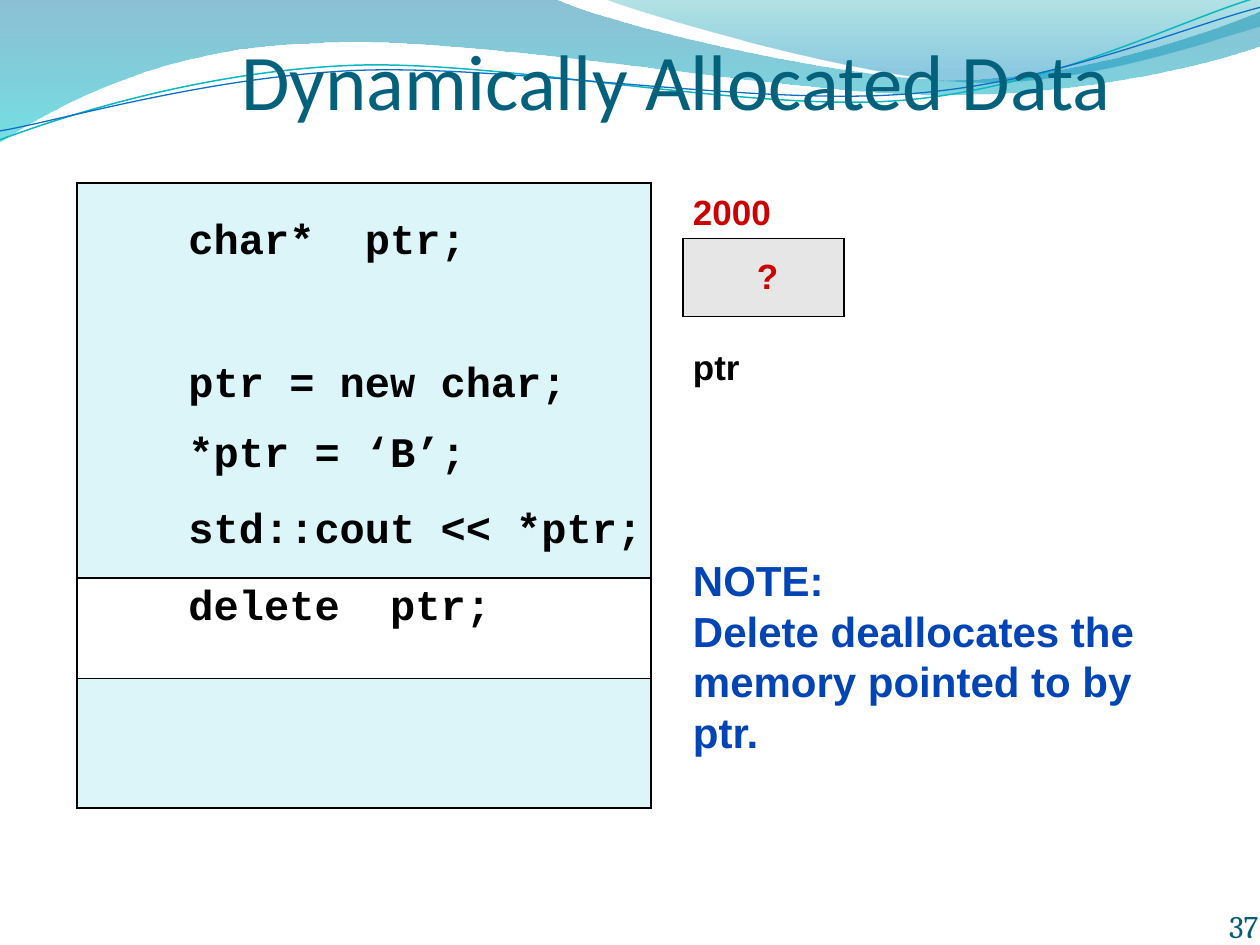
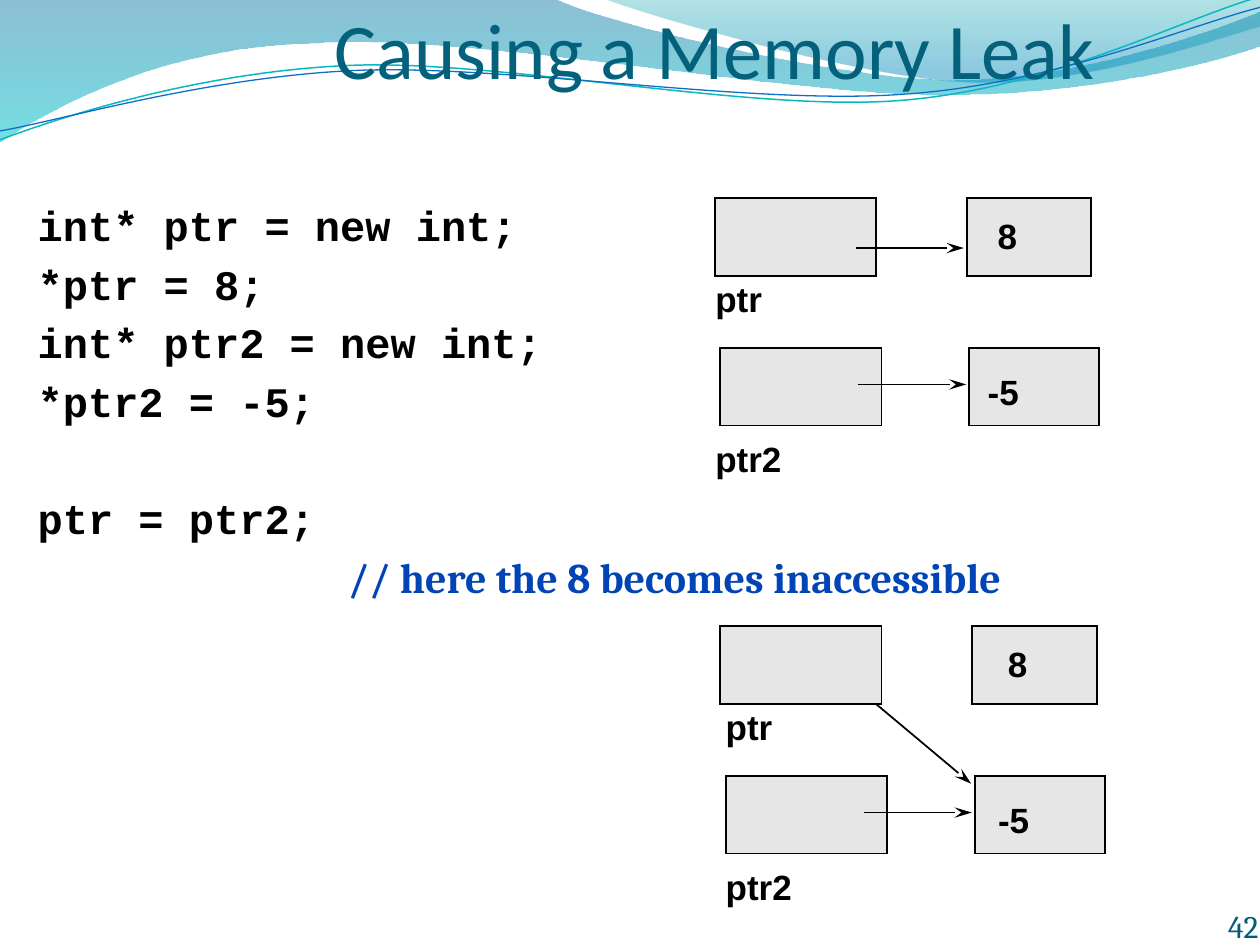
from dataclasses import dataclass
from typing import Any

from lxml import etree
from pptx import Presentation
from pptx.dml.color import RGBColor
from pptx.enum.shapes import MSO_CONNECTOR, MSO_SHAPE
from pptx.enum.text import MSO_ANCHOR, PP_ALIGN
from pptx.oxml.ns import qn
from pptx.util import Cm, Pt

RECT = MSO_SHAPE.RECTANGLE
STRAIGHT = MSO_CONNECTOR.STRAIGHT
TOP, BOTTOM = MSO_ANCHOR.TOP, MSO_ANCHOR.BOTTOM
LEFT, RIGHT = PP_ALIGN.LEFT, PP_ALIGN.RIGHT

BLACK, WHITE, GREY = "000000", "FFFFFF", "E6E6E6"
RED, BLUE, PALE = "CC0000", "0044B5", "DBF5F9"
TITLE_COLOR, NUMBER_COLOR = "04617B", "045D75"

TITLE = {"name": "Calibri", "size": Pt(45), "bold": False}
NUMBER = {"name": "Cambria", "size": Pt(18), "bold": False}
CODE = {"name": "Courier New", "size": Pt(24), "bold": True}
REMARK = {**CODE, "name": "Cambria"}
LABEL = {"name": "Arial", "size": Pt(20), "bold": True}
NOTE = {**LABEL, "size": Pt(24)}

CELL_HEIGHT = 1.57
POINTER_WIDTH = 3.25

Point = tuple[float, float]


@dataclass(frozen=True)
class Wave:
    start: Point
    segments: tuple[tuple[Point, ...], ...]
    stops: tuple[tuple[float, str, int], ...] = ()
    line: str = ""
    weight: float = 0


@dataclass(frozen=True)
class Box:
    left: float
    top: float
    width: float
    height: float
    fill: str = GREY


@dataclass(frozen=True)
class Arrow:
    x1: float
    y1: float
    x2: float
    y2: float


@dataclass(frozen=True)
class Line:
    text: str
    fmt: dict[str, Any]
    color: str = BLACK
    before: float = 0
    indent: float = 0


WAVES = (
    Wave((0, 0), (
        ((11.18, -0.03),),
        ((12.09, 0.43), (16.87, 1.6), (19.25, 1.6)),
        ((21.67, 1.6), (24.33, 0.66), (25.4, 0.23)),
        ((25.43, 0.91),),
        ((24.97, 1.12), (22.1, 1.93), (18.95, 1.91)),
        ((15.8, 1.91), (9.7, 0.71), (6.53, 0.86)),
        ((3.28, 0.91), (1.17, 2.11), (-0.03, 2.87)),
    ), stops=((0, "0074A1", 45), (1, "00C6CF", 55))),
    Wave((12.17, -0.03), (
        ((12.93, 0.28), (17.32, 1.57), (19.53, 1.65)),
        ((21.74, 1.75), (24.41, 0.81), (25.4, 0.53)),
        ((25.4, 0),),
    ), stops=((0, "00A1A9", 30), (0.8, "008BBF", 45))),
    Wave((0, 2.82), (
        ((1.22, 2.36), (4.01, 1.45), (7.04, 1.32)),
        ((10.03, 1.19), (15.06, 2.26), (18.11, 2.03)),
        ((21.16, 1.8), (23.83, 0.38), (25.35, -0.05)),
    ), line="0AB8BF", weight=0.85),
    Wave((0, 2.64), (
        ((1.19, 2.44), (4.17, 1.55), (7.19, 1.42)),
        ((10.24, 1.3), (15.16, 2.13), (18.21, 1.9)),
        ((21.23, 1.7), (23.9, 0.53), (25.4, 0.15)),
    ), line="0F6FC6", weight=0.75),
)

MEMORY_CELLS = (
    Box(14.41, 3.99, POINTER_WIDTH, CELL_HEIGHT),
    Box(14.52, 7.01, POINTER_WIDTH, CELL_HEIGHT),
    Box(19.49, 3.99, 2.51, CELL_HEIGHT),
    Box(19.54, 7.01, 2.62, CELL_HEIGHT),
)
MEMORY_LABELS = (
    Line("8", LABEL, indent=5.69),
    Line("ptr", LABEL, before=12),
    Line("-5", LABEL, before=28.8, indent=5.49),
    Line("ptr2", LABEL, before=14.4),
)
PTR_ARROW = Arrow(17.25, 5, 19.43, 5)
PTR2_ARROW = Arrow(17.3, 7.75, 19.48, 7.75)
LEAK_ARROW = Arrow(17.3, 13.89, 19.58, 15.8)
LEAK_DX, LEAK_LABEL_DX, LEAK_DY = 0.11, 0.21, 8.63


def rgb(color: str) -> RGBColor:
    return RGBColor.from_string(color)


def bend(sp: Any, wave: Wave) -> None:
    steps = iter(list(sp._element.iter(qn("a:lnTo"))))
    for segment in wave.segments:
        group = [next(steps) for _ in segment]
        if len(group) == 3:
            cubic = etree.Element(qn("a:cubicBezTo"))
            group[0].addprevious(cubic)
            for step in group:
                cubic.append(step[0])
                step.getparent().remove(step)


def add_wave(s: Any, wave: Wave) -> Any:
    points = [wave.start, *(point for segment in wave.segments for point in segment)]
    emu = [(Cm(x), Cm(y)) for x, y in points]
    builder = s.shapes.build_freeform(*emu[0])
    builder.add_line_segments(emu[1:], close=bool(wave.stops))
    sp = builder.convert_to_shape()
    bend(sp, wave)
    sp.shadow.inherit = False
    if not wave.stops:
        sp.fill.background()
        sp.line.color.rgb = rgb(wave.line)
        sp.line.width = Pt(wave.weight)
        return sp
    sp.line.fill.background()
    sp.fill.gradient()
    sp.fill.gradient_angle = 270
    for stop, (position, color, _) in zip(sp.fill.gradient_stops, wave.stops):
        stop.position = position
        stop.color.rgb = rgb(color)
    for clr, (_, _, opacity) in zip(sp._element.spPr.iter(qn("a:srgbClr")), wave.stops):
        etree.SubElement(clr, qn("a:alpha"), val=str(opacity * 1000))
    return sp


def add_box(s: Any, box: Box, dx: float = 0, dy: float = 0) -> None:
    sp = s.shapes.add_shape(RECT, Cm(box.left + dx), Cm(box.top + dy), Cm(box.width), Cm(box.height))
    sp.shadow.inherit = False
    sp.fill.solid()
    sp.fill.fore_color.rgb = rgb(box.fill)
    sp.line.color.rgb = rgb(BLACK)
    sp.line.width = Pt(1)
    etree.SubElement(sp.line._get_or_add_ln(), qn("a:miter"), lim="800000")


def add_arrow(s: Any, arrow: Arrow, dx: float = 0, dy: float = 0) -> None:
    sp = s.shapes.add_connector(STRAIGHT, Cm(arrow.x1 + dx), Cm(arrow.y1 + dy),
                                Cm(arrow.x2 + dx), Cm(arrow.y2 + dy))
    sp.line.color.rgb = rgb(BLACK)
    sp.line.width = Pt(1)
    etree.SubElement(sp.line._get_or_add_ln(), qn("a:tailEnd"), type="stealth", w="med", len="lg")
    etree.SubElement(sp._element.spPr, qn("a:effectLst"))


def add_text(s: Any, left: float, top: float, width: float, height: float, *lines: Line,
             inset: Point = (0, 0), align: Any = LEFT, anchor: Any = TOP) -> None:
    tf = s.shapes.add_textbox(Cm(left), Cm(top), Cm(width), Cm(height)).text_frame
    frame = {"word_wrap": True, "vertical_anchor": anchor, "margin_left": Cm(inset[0]),
             "margin_top": Cm(inset[1]), "margin_right": 0, "margin_bottom": 0}
    for name, value in frame.items():
        setattr(tf, name, value)
    for i, line in enumerate(lines):
        p = tf.add_paragraph() if i else tf.paragraphs[0]
        p.alignment = align
        p.space_before = Pt(line.before)
        if line.indent:
            p._p.get_or_add_pPr().set("marL", str(Cm(line.indent)))
        r = p.add_run()
        r.text = line.text
        for name, value in line.fmt.items():
            setattr(r.font, name, value)
        r.font.color.rgb = rgb(line.color)


def add_waves(s: Any) -> None:
    tree = s.slide_layout.shapes._spTree
    for wave in WAVES:
        tree.append(add_wave(s, wave)._element)


def add_heading(s: Any, title: str, left: float, top: float, height: float, number: int) -> None:
    add_text(s, 20.09, 17.78, 5.28, 1.27, Line(str(number), NUMBER, NUMBER_COLOR),
             align=RIGHT, anchor=BOTTOM)
    add_text(s, left, top, 25.4 - left, height, Line(title, TITLE, TITLE_COLOR),
             inset=(0, 0.13), anchor=BOTTOM)


def add_memory(s: Any, dx: float = 0, label_dx: float = 0, dy: float = 0) -> None:
    for cell in MEMORY_CELLS:
        add_box(s, cell, dx, dy)
    add_arrow(s, PTR2_ARROW, dx, dy)
    add_text(s, 13.97 + label_dx, 2.74 + dy, 9.53, 7.87, *MEMORY_LABELS, inset=(0.45, 1.59))


def build_allocation(s: Any) -> None:
    add_box(s, Box(1.55, 3.69, 11.58, 12.6, PALE))
    add_box(s, Box(1.55, 11.65, 11.58, 2.03, WHITE))
    add_heading(s, "Dynamically Allocated Data", 4.87, 0.43, 2.11, 37)
    add_text(s, 3.55, 3.51, 21.84, 11.81,
             Line("char*  ptr;", CODE),
             Line("ptr = new char;", CODE, before=53),
             Line("*ptr = ‘B’;", CODE, before=11),
             Line("std::cout << *ptr;", CODE, before=15),
             Line("delete  ptr;", CODE, before=15),
             inset=(0.25, 0.77))
    add_box(s, Box(13.77, 4.81, POINTER_WIDTH, CELL_HEIGHT))
    add_text(s, 13.72, 3.71, 9.53, 13.51,
             Line("2000", LABEL, RED),
             Line("ptr", LABEL, before=64.7),
             Line("NOTE:", NOTE, BLUE, before=95.5),
             Line("Delete deallocates the memory pointed to by ptr.", NOTE, BLUE),
             inset=(0.25, 0.13))
    add_text(s, 14.63, 5, 1.35, 1.09, Line("?", LABEL, RED), inset=(0.63, 0.13))


def build_leak(s: Any) -> None:
    add_heading(s, "Causing a Memory Leak", 6.75, 0.63, 1.3, 42)
    add_text(s, 0, 3.89, 21.84, 10.85,
             Line("int* ptr = new int;", CODE),
             Line("*ptr = 8;", CODE, before=4.8),
             Line("int* ptr2 = new int;", CODE, before=4.8),
             Line("*ptr2 = -5;", CODE, before=4.8),
             Line("ptr = ptr2;", CODE, before=38),
             Line("// here the 8 becomes inaccessible", REMARK, BLUE, before=4.8, indent=6.26),
             inset=(0.76, 0.13))
    add_memory(s)
    add_arrow(s, PTR_ARROW)
    add_arrow(s, LEAK_ARROW)
    add_memory(s, LEAK_DX, LEAK_LABEL_DX, LEAK_DY)


def main() -> None:
    prs = Presentation()
    prs.slide_width, prs.slide_height = Cm(25.4), Cm(19.05)
    allocation, leak = (prs.slides.add_slide(prs.slide_layouts[6]) for _ in range(2))
    add_waves(allocation)
    build_allocation(allocation)
    build_leak(leak)
    prs.save("out.pptx")


if __name__ == "__main__":
    main()
